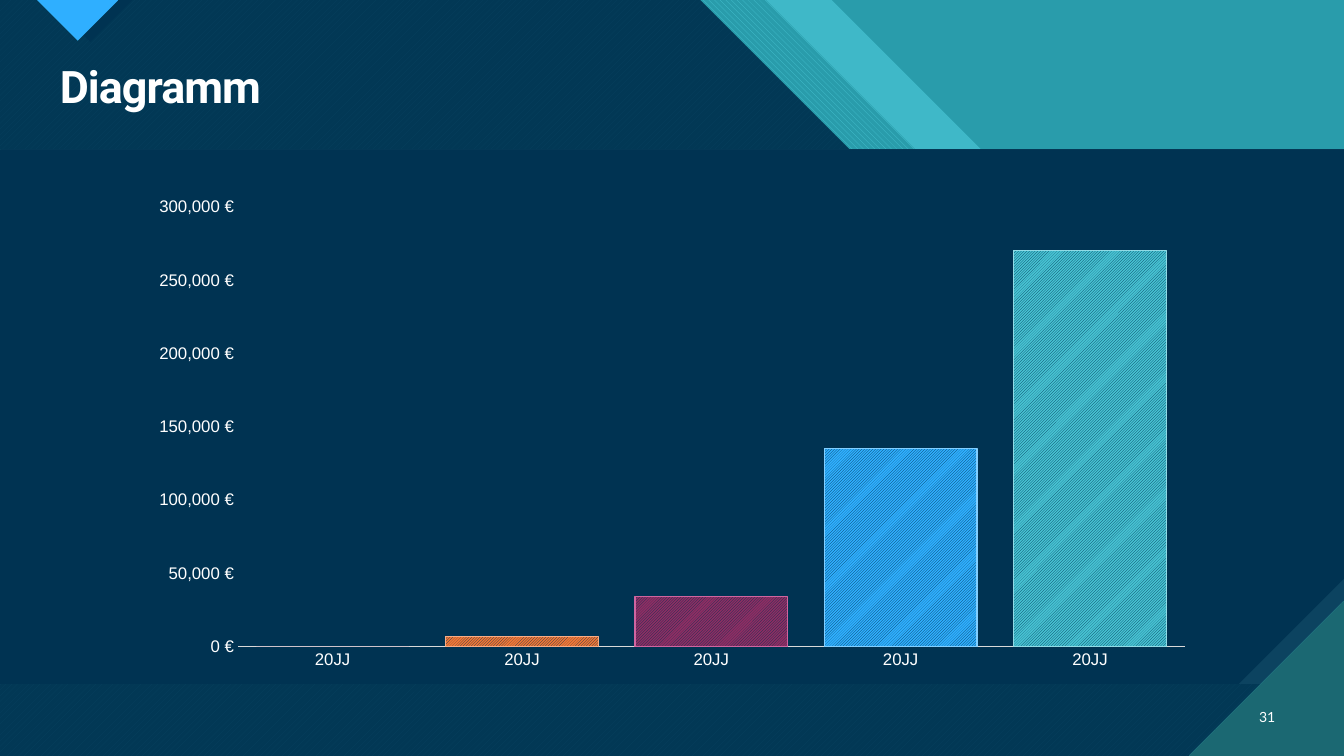
from lxml import etree
from pptx import Presentation
from pptx.chart.data import CategoryChartData
from pptx.dml.color import RGBColor
from pptx.enum.chart import XL_CHART_TYPE, XL_TICK_MARK
from pptx.enum.dml import MSO_PATTERN
from pptx.enum.shapes import MSO_SHAPE
from pptx.enum.text import MSO_ANCHOR, MSO_AUTO_SIZE, PP_ALIGN
from pptx.oxml.ns import qn
from pptx.util import Pt

COLUMNS = XL_CHART_TYPE.COLUMN_CLUSTERED
NO_TICKS = XL_TICK_MARK.NONE
WIDE_DOWN = MSO_PATTERN.WIDE_DOWNWARD_DIAGONAL
WIDE_UP = MSO_PATTERN.WIDE_UPWARD_DIAGONAL
LIGHT_UP = MSO_PATTERN.LIGHT_UPWARD_DIAGONAL
DARK_ROWS = MSO_PATTERN.DARK_HORIZONTAL
DARK_COLUMNS = MSO_PATTERN.DARK_VERTICAL
RECTANGLE = MSO_SHAPE.RECTANGLE
SNIPPED = MSO_SHAPE.SNIP_1_RECTANGLE
MIDDLE = MSO_ANCHOR.MIDDLE
GROW = MSO_AUTO_SIZE.SHAPE_TO_FIT_TEXT
LEFT, RIGHT = PP_ALIGN.LEFT, PP_ALIGN.RIGHT

WIDTH, HEIGHT = 960, 540
NAVY, SLATE, WHITE = "003352", "0C4360", "FFFFFF"
TEAL, AQUA, PINE = "299CAB", "47C3D3", "1B6872"
BLUE, ORANGE, PLUM = "2FAFFF", "F47735", "8F2D63"


def rgb(value):
    """Turn a hex string into a colour."""
    return RGBColor.from_string(value)


class DiagramSlide:
    """Holds the style and the current slide, and draws its elements."""

    def __init__(self, deck, backdrop):
        """Add a title-only slide with a plain backdrop."""
        self.slide = deck.slides.add_slide(deck.slide_layouts[5])
        self.shapes = self.slide.shapes
        self.paint(self.slide.background.fill, backdrop)

    def paint(self, fill, color, pattern=None, back=None):
        """Fill with a plain colour or a two-colour pattern."""
        if pattern is None:
            fill.solid()
            fill.fore_color.rgb = rgb(color)
        else:
            fill.patterned()
            fill.pattern = pattern
            fill.fore_color.rgb = rgb(color)
            fill.back_color.rgb = rgb(back)

    def finish(self, shape, color, pattern=None, back=None, alpha=100):
        """Fill a shape and take away its line and shadow."""
        shape.shadow.inherit = False
        shape.line.fill.background()
        self.paint(shape.fill, color, pattern, back)
        if alpha < 100:
            tint = shape.element.spPr.find(".//" + qn("a:srgbClr"))
            etree.SubElement(tint, qn("a:alpha")).set("val", str(alpha * 1000))

    def polygon(self, corners, color, **look):
        """Draw a closed outline through the corners."""
        points = [(Pt(x), Pt(y)) for x, y in corners]
        builder = self.shapes.build_freeform(*points[0], scale=1.0)
        builder.add_line_segments(points[1:], close=True)
        self.finish(builder.convert_to_shape(), color, **look)

    def panel(self, top, height, color, snip=None, **look):
        """Draw a full-width panel, optionally cut at its lower right corner."""
        kind = RECTANGLE if snip is None else SNIPPED
        panel = self.shapes.add_shape(kind, 0, Pt(top), Pt(WIDTH), Pt(height))
        if snip is not None:
            panel.adjustments[0] = snip
            panel.element.spPr.xfrm.set("flipV", "1")
        self.finish(panel, color, **look)

    def set_line(self, holder, box, text, font, size, align, bold=False, spacing=0):
        """Place a text holder and format its single line."""
        holder.left, holder.top, holder.width, holder.height = map(Pt, box)
        frame = holder.text_frame
        frame.text = text
        frame.word_wrap = True
        frame.vertical_anchor = MIDDLE
        line = frame.paragraphs[0]
        line.alignment = align
        run = line.runs[0]
        run.font.name, run.font.size, run.font.bold = font, Pt(size), bold
        run.font.color.rgb = rgb(WHITE)
        if spacing:
            run._r.get_or_add_rPr().set("spc", str(round(spacing * 100)))

    def title(self, box, text):
        """Fill the title placeholder and bring it to the front."""
        heading = self.shapes.title
        self.shapes.element.append(heading.element)
        self.set_line(heading, box, text, "Roboto", 32, LEFT, True, -0.7)
        heading.text_frame.auto_size = GROW
        heading.text_frame.paragraphs[0].line_spacing = 0.9

    def label(self, box, text):
        """Add a small right-aligned text."""
        note = self.shapes.add_textbox(*map(Pt, box))
        self.set_line(note, box, text, "Lato", 10, RIGHT)

    def columns(self, box, categories, values, bar_colors):
        """Add a column chart with a hatched colour for each bar."""
        data = CategoryChartData()
        data.categories = categories
        data.add_series("Series 1", values)
        chart = self.shapes.add_chart(COLUMNS, *map(Pt, box), data).chart
        chart.has_legend = chart.has_title = False
        chart.font.name, chart.font.size = "Arial", Pt(12)
        chart.font.color.rgb = rgb(WHITE)

        for axis in (chart.category_axis, chart.value_axis):
            axis.major_tick_mark = axis.minor_tick_mark = NO_TICKS
            axis.has_major_gridlines = False
        base_line = chart.category_axis.format.line
        base_line.color.rgb = rgb("D9D9D9")
        base_line.width = Pt(0.75)
        amounts = chart.value_axis
        amounts.format.line.fill.background()
        amounts.minimum_scale, amounts.maximum_scale = 0, 300000
        amounts.major_unit = 50000
        amounts.tick_labels.number_format = '#,##0\\ "€"'
        amounts.tick_labels.number_format_is_linked = False

        plot = chart.plots[0]
        plot.vary_by_categories = False
        plot.gap_width = 24
        series = plot.series[0]
        self.paint(series.format.fill, PLUM)
        for index, (color, edge) in enumerate(bar_colors, start=1):
            bar = series.points[index].format
            self.paint(bar.fill, NAVY, LIGHT_UP, color)
            bar.line.color.rgb = rgb(edge)
            bar.line.width = Pt(0.75)


def field(shift):
    """Return the stepped left field, its slanted edge moved right by shift."""
    return [(0, 0), (500 + shift, 0), (714 + shift, 214), (805 + shift, 214),
            (WIDTH, 369 - shift), (WIDTH, HEIGHT), (0, HEIGHT)]


def wedge(left, right):
    """Return a triangle that hangs from the top edge."""
    return [(left, 0), ((left + right) / 2, (right - left) / 2), (right, 0)]


def main():
    """Build the diagram slide."""
    deck = Presentation()
    deck.slide_width, deck.slide_height = Pt(WIDTH), Pt(HEIGHT)
    page = DiagramSlide(deck, TEAL)

    page.polygon(field(94), AQUA, alpha=74)
    page.polygon(field(47), AQUA, pattern=WIDE_DOWN, back=TEAL)
    page.polygon(field(0), AQUA, pattern=WIDE_UP, back=PINE)
    page.polygon(field(0), NAVY, alpha=90)
    page.polygon(wedge(34.5, 94.5), NAVY)
    page.polygon(wedge(26.5, 84.5), BLUE, pattern=DARK_ROWS, back=PINE)
    page.panel(106.75, 381.75, SLATE, pattern=DARK_COLUMNS, back=PINE)
    page.panel(106.75, 381.75, NAVY, snip=0.197)
    page.polygon([(849, HEIGHT), (WIDTH, HEIGHT), (WIDTH, 429)],
                 PINE, pattern=DARK_ROWS, back=AQUA)

    page.title((35.5, 42.5, 918, 42.5), "Diagramm")
    page.columns((98.5, 134.5, 763, 350), ["20JJ"] * 5,
                 [0, 7000, 34000, 135000, 270000],
                 [(ORANGE, "F8AD86"), (PLUM, "CF65A0"),
                  (BLUE, "82CFFF"), (AQUA, "91DBE5")])
    page.label((886.5, 497.5, 31.5, 29), "31")
    deck.save("out.pptx")


if __name__ == "__main__":
    main()
